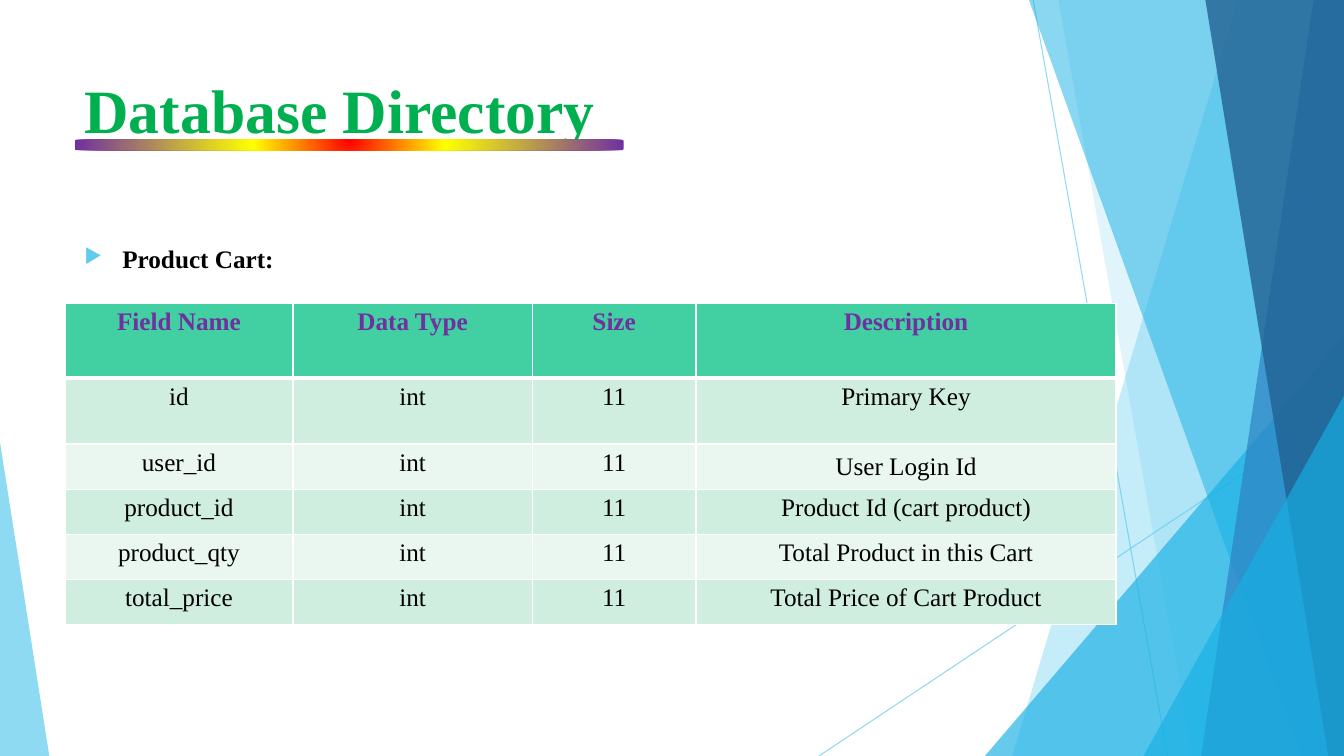
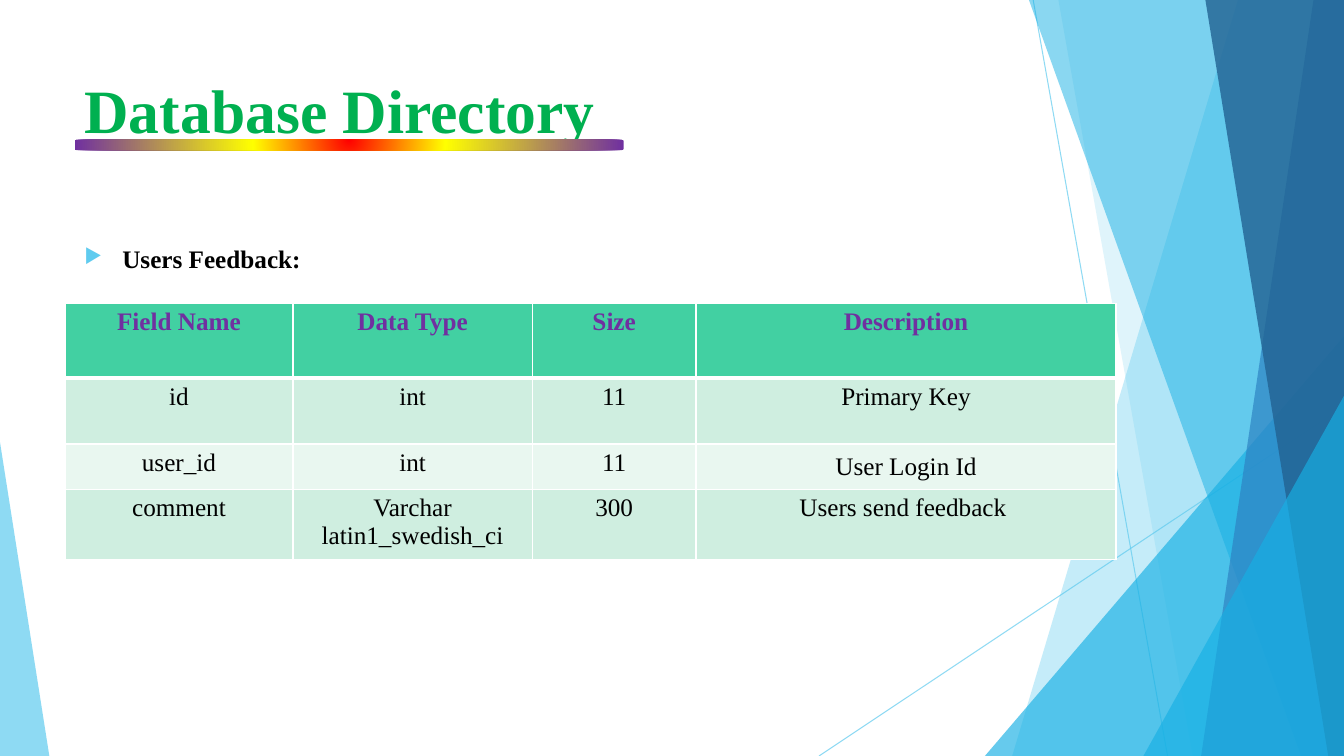
import lxml.etree
import pptx
import pptx.dml.color
import pptx.enum.shapes
import pptx.enum.text
import pptx.oxml
import pptx.oxml.ns
import pptx.util

PX = 9525
WIDTH, HEIGHT = 1280, 720
FONT = "Times New Roman"
NS = 'xmlns:a="http://schemas.openxmlformats.org/drawingml/2006/main"'
qn = pptx.oxml.ns.qn
COLOURS = {
    "sky": "5FCBEF",
    "cyan": "17B0E4",
    "blue": "2E83C3",
    "navy": "226292",
    "title": "00B050",
    "text": "000000",
    "white": "FFFFFF",
    "purple": "7030A0",
    "yellow": "FFFF00",
    "red": "FF0000",
    "header": "42D0A2",
    "odd_row": "CFEEE0",
    "even_row": "E9F7F0",
}
RAYS = [((984, 0), (1112, HEIGHT)), ((WIDTH, 387), (780, HEIGHT))]
FACETS = [
    ("slant", (1179, 964), "sky", 36),
    ("slant", (1008, 1136), "sky", 20),
    ("triangle", (938, 320, 342, 400, 1), "cyan", 66),
    ("slant", (980, 1239), "cyan", 50),
    ("slant", (1251, 1144), "blue", 70),
    ("slant", (1148, 1265), "navy", 80),
    ("triangle", (1089, 377, 191, 343, 1), "cyan", 66),
    ("triangle", (0, 421, 47, 299, 0), "sky", 70),
]
RAINBOW = [(0, "red"), (35, "yellow"), (100, "purple")]
COLUMN_WIDTHS = [217, 228, 156, 400]
HEADINGS = ("Field Name", "Data Type", "Size", "Description")
SHARED_ROWS = [
    (71, HEADINGS),
    (63, ("id", "int", "11", "Primary Key")),
    (43, ("user_id", "int", "11", "User Login Id")),
]
DIRECTORIES = [
    ("Product Cart:", [
        (43, ("product_id", "int", "11", "Product Id (cart product)")),
        (43, ("product_qty", "int", "11", "Total Product in this Cart")),
        (43, ("total_price", "int", "11", "Total Price of Cart Product")),
    ]),
    ("Users Feedback:", [
        (63, ("comment", "Varchar latin1_swedish_ci", "300", "Users send feedback ")),
    ]),
]


def paint(fill, colour, opacity):
    fill.solid()
    fill.fore_color.rgb = pptx.dml.color.RGBColor.from_string(COLOURS[colour])
    tint = fill._xPr.find(".//" + qn("a:srgbClr"))
    lxml.etree.SubElement(tint, qn("a:alpha")).set("val", str(opacity * 1000))


def write(paragraph, text, size, colour, bold):
    run = paragraph.add_run()
    run.text = text
    run.font.name = FONT
    run.font.size = pptx.util.Pt(size)
    run.font.bold = bold
    run.font.color.rgb = pptx.dml.color.RGBColor.from_string(COLOURS[colour])


deck = pptx.Presentation()
deck.slide_width = WIDTH * PX
deck.slide_height = HEIGHT * PX

for topic, own_rows in DIRECTORIES:
    slide = deck.slides.add_slide(deck.slide_layouts[6])
    shapes = slide.shapes

    for (x1, y1), (x2, y2) in RAYS:
        ray = shapes.add_connector(
            pptx.enum.shapes.MSO_CONNECTOR.STRAIGHT, x1 * PX, y1 * PX, x2 * PX, y2 * PX)
        ray.line.width = pptx.util.Pt(0.75)
        paint(ray.line.fill, "sky", 70)
        lxml.etree.SubElement(ray._element.spPr, qn("a:effectLst"))

    for kind, place, colour, opacity in FACETS:
        if kind == "slant":
            top_x, bottom_x = place
            outline = shapes.build_freeform(top_x, 0, scale=PX)
            outline.add_line_segments([(WIDTH, 0), (WIDTH, HEIGHT), (bottom_x, HEIGHT)])
            facet = outline.convert_to_shape()
        else:
            left, top, width, height, apex = place
            facet = shapes.add_shape(
                pptx.enum.shapes.MSO_SHAPE.ISOSCELES_TRIANGLE,
                left * PX, top * PX, width * PX, height * PX)
            facet.adjustments[0] = apex
        facet.shadow.inherit = False
        facet.line.fill.background()
        paint(facet.fill, colour, opacity)

    topic_frame = shapes.add_textbox(71 * PX, 227 * PX, 902 * PX, 407 * PX).text_frame
    topic_frame.word_wrap = True
    topic_line = topic_frame.paragraphs[0]
    bullet = topic_line._p.get_or_add_pPr()
    bullet.set("marL", str(36 * PX))
    bullet.set("indent", str(-36 * PX))
    for markup in (
        f'<a:buClr {NS}><a:srgbClr val="{COLOURS["sky"]}"/></a:buClr>',
        f'<a:buSzPct {NS} val="80000"/>',
        f'<a:buChar {NS} char="▶"/>',
    ):
        bullet.append(pptx.oxml.parse_xml(markup))
    write(topic_line, topic, 18, "text", True)

    title_frame = shapes.add_textbox(71 * PX, 64 * PX, 926 * PX, 138 * PX).text_frame
    title_frame.word_wrap = True
    write(title_frame.paragraphs[0], "Database Directory", 44, "title", True)

    underline = shapes.add_shape(
        pptx.enum.shapes.MSO_SHAPE.ROUNDED_RECTANGLE, 71 * PX, 133 * PX, 523 * PX, 10 * PX)
    underline.shadow.inherit = False
    underline.line.fill.background()
    stops = "".join(
        f'<a:gs pos="{position * 1000}"><a:srgbClr val="{COLOURS[colour]}"/></a:gs>'
        for position, colour in RAINBOW)
    underline._element.spPr.find(qn("a:prstGeom")).addnext(pptx.oxml.parse_xml(
        f'<a:gradFill {NS}><a:gsLst>{stops}</a:gsLst><a:path path="circle">'
        '<a:fillToRect l="50000" t="-80000" r="50000" b="180000"/></a:path></a:gradFill>'))

    rows = SHARED_ROWS + own_rows
    fields = shapes.add_table(
        len(rows), len(COLUMN_WIDTHS), 62 * PX, 289 * PX,
        sum(COLUMN_WIDTHS) * PX, sum(height for height, _ in rows) * PX).table
    for column, width in zip(fields.columns, COLUMN_WIDTHS):
        column.width = width * PX
    for r, (height, texts) in enumerate(rows):
        fields.rows[r].height = height * PX
        heading = r == 0
        band = "header" if heading else "odd_row" if r % 2 else "even_row"
        borders = {"lnL": 1, "lnR": 1, "lnT": 3 if r == 1 else 1, "lnB": 3 if heading else 1}
        for c, text in enumerate(texts):
            cell = fields.cell(r, c)
            for side, points in borders.items():
                cell._tc.get_or_add_tcPr().append(pptx.oxml.parse_xml(
                    f'<a:{side} {NS} w="{pptx.util.Pt(points)}"><a:solidFill>'
                    f'<a:srgbClr val="{COLOURS["white"]}"/></a:solidFill></a:{side}>'))
            paint(cell.fill, band, 100)
            if text == "User Login Id":
                cell.vertical_anchor = pptx.enum.text.MSO_ANCHOR.MIDDLE
            entry = cell.text_frame.paragraphs[0]
            entry.alignment = pptx.enum.text.PP_ALIGN.CENTER
            write(entry, text, 18, "purple" if heading else "text", heading)

deck.save("out.pptx")
